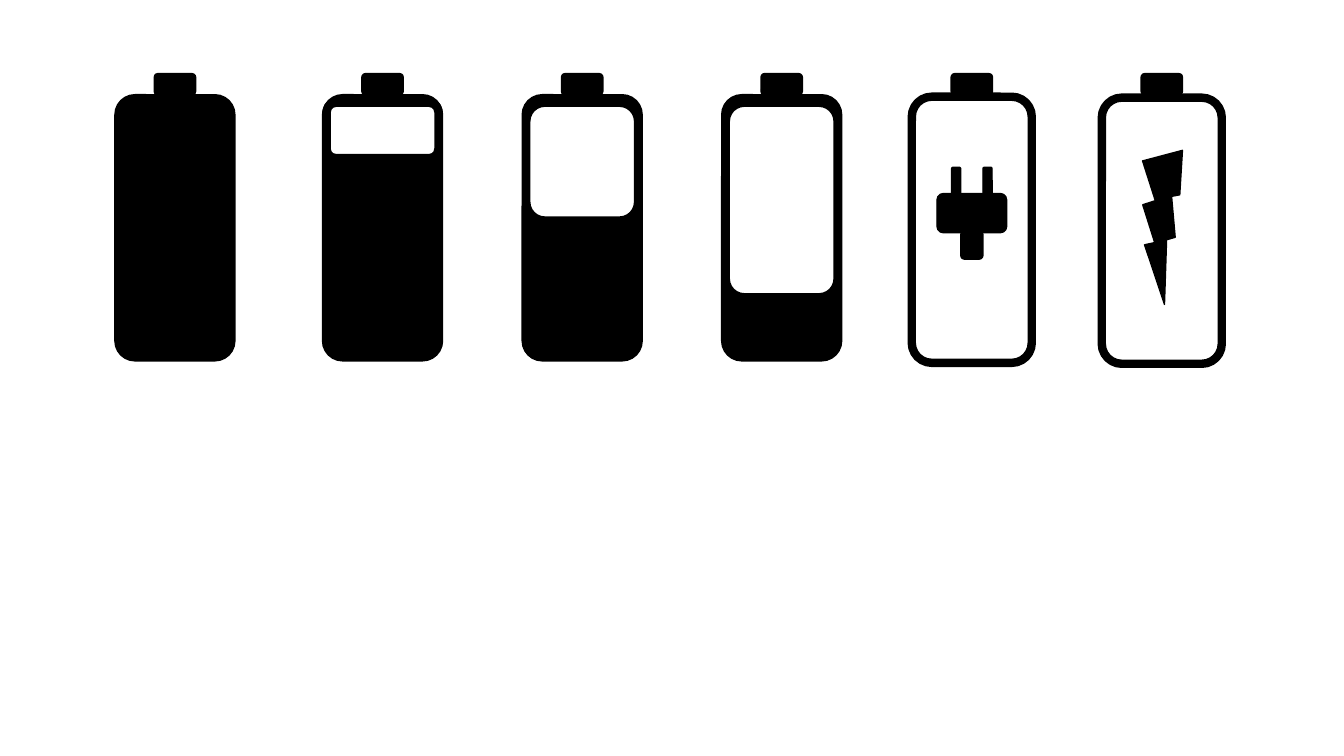
from pptx import Presentation
from pptx.dml.color import RGBColor
from pptx.enum import shapes
from pptx.util import Pt

BLACK, WHITE = "000000", "FFFFFF"
BODY_W, BODY_H, TOP = 85.7, 190.1, 67.7
CAP_W, CAP_H, CAP_TOP = 29.5, 15.1, 52.6
OUTLINE = 6


def rgb(value):
    return RGBColor.from_string(value)


class Deck:
    """Draws battery icons on the current slide in one black and white style."""

    def __init__(self, prs):
        self.s = prs.slides.add_slide(prs.slide_layouts[6])

    def shape(self, kind, x, y, w, h, fill=BLACK, line=1):
        sp = self.s.shapes.add_shape(kind, Pt(x), Pt(y), Pt(w), Pt(h))
        sp.shadow.inherit = False
        sp.fill.solid()
        sp.fill.fore_color.rgb = rgb(fill)
        sp.line.color.rgb = rgb(BLACK)
        sp.line.width = Pt(line)
        return sp

    def box(self, x, y, w, h, fill=BLACK, line=1):
        return self.shape(shapes.MSO_SHAPE.ROUNDED_RECTANGLE, x, y, w, h, fill, line)

    def battery(self, x, y=TOP, fill=BLACK, line=1):
        self.box(x, y, BODY_W, BODY_H, fill, line)
        self.box(x + (BODY_W - CAP_W) / 2, CAP_TOP, CAP_W, CAP_H)

    def window(self, x, h):
        self.box(x + 2.9, 73.4, BODY_W - 5.8, h, WHITE, OUTLINE)

    def plug(self, cx, y):
        self.box(cx - 24.9, y + 18.7, 49.8, 28.1)
        self.box(cx - 7.9, y + 45.4, 15.8, 20.2)
        for dx in (-11.2, 11.2):
            self.box(cx + dx - 3.25, y, 6.5, 19.4)

    def bolt(self, x, y, w, h):
        sp = self.shape(shapes.MSO_SHAPE.LIGHTNING_BOLT, x, y, w, h)
        sp.rotation = 25.1


prs = Presentation()
prs.slide_width, prs.slide_height = Pt(960), Pt(540)
deck = Deck(prs)

for x, empty in ((82.1, 0), (230.4, 39.6), (373, 84.2), (515.5, 139)):
    deck.battery(x)
    if empty:
        deck.window(x, empty)

deck.battery(651.3, 69.1, WHITE, OUTLINE)
deck.plug(694.2, 119.5)

deck.battery(787, 69.8, WHITE, OUTLINE)
deck.bolt(799.2, 105.1, 57.6, 105.1)

prs.save("out.pptx")
